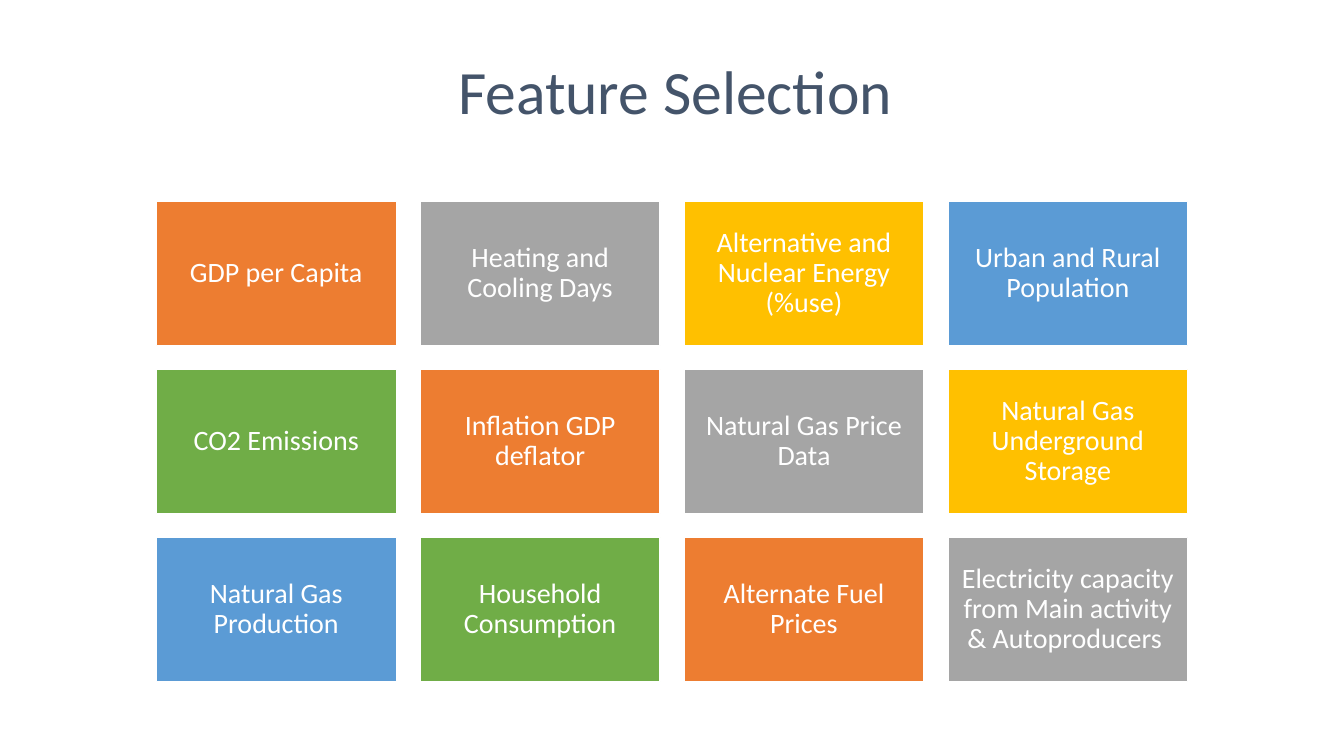
import pptx
import pptx.util
import pptx.dml.color
import pptx.enum.shapes
import pptx.enum.text

Inches = pptx.util.Inches

TITLE = " Feature Selection"
FEATURES = [
    "GDP per Capita",
    "Heating and Cooling Days",
    "Alternative and Nuclear Energy (%use)",
    "Urban and Rural Population",
    "CO2 Emissions",
    "Inflation GDP deflator",
    "Natural Gas Price Data",
    "Natural Gas Underground Storage",
    "Natural Gas Production",
    "Household Consumption",
    "Alternate Fuel Prices",
    "Electricity capacity from Main activity & Autoproducers ",
]
COLORS = {
    "title": "44546A",
    "white": "FFFFFF",
    "orange": "ED7D31",
    "gray": "A5A5A5",
    "gold": "FFC000",
    "blue": "5B9BD5",
    "green": "70AD47",
}
TILE_CYCLE = ["orange", "gray", "gold", "blue", "green"]
FONT = "Calibri"

COLUMNS = 4
GRID_LEFT, GRID_TOP = 1.55, 2.0
TILE_WIDTH, TILE_HEIGHT = 2.38, 1.43
COLUMN_STEP, ROW_STEP = 2.617, 1.665
TILE_INSET = 0.08


def rgb(name):
    return pptx.dml.color.RGBColor.from_string(COLORS[name])


def write_centered(frame, text, size, color):
    frame.word_wrap = True
    frame.text = text
    paragraph = frame.paragraphs[0]
    paragraph.alignment = pptx.enum.text.PP_ALIGN.CENTER
    paragraph.line_spacing = 0.9
    font = paragraph.runs[0].font
    font.name = FONT
    font.size = pptx.util.Pt(size)
    font.color.rgb = rgb(color)


def add_title(slide):
    title = slide.shapes.add_textbox(
        Inches(0.56), Inches(0.56), Inches(12.14), Inches(1.2))
    title.text_frame.vertical_anchor = pptx.enum.text.MSO_ANCHOR.TOP
    write_centered(title.text_frame, TITLE, 44, "title")


def add_tile(slide, index, feature):
    row, column = divmod(index, COLUMNS)
    tile = slide.shapes.add_shape(
        pptx.enum.shapes.MSO_SHAPE.RECTANGLE,
        Inches(GRID_LEFT + column * COLUMN_STEP),
        Inches(GRID_TOP + row * ROW_STEP),
        Inches(TILE_WIDTH), Inches(TILE_HEIGHT))
    tile.shadow.inherit = False
    tile.fill.solid()
    tile.fill.fore_color.rgb = rgb(TILE_CYCLE[index % len(TILE_CYCLE)])
    tile.line.color.rgb = rgb("white")
    tile.line.width = pptx.util.Pt(1)

    frame = tile.text_frame
    frame.margin_left = frame.margin_right = Inches(TILE_INSET)
    frame.margin_top = frame.margin_bottom = Inches(TILE_INSET)
    frame.vertical_anchor = pptx.enum.text.MSO_ANCHOR.MIDDLE
    write_centered(frame, feature, 20, "white")


def main():
    deck = pptx.Presentation()
    deck.slide_width, deck.slide_height = Inches(13.33), Inches(7.5)
    slide = deck.slides.add_slide(deck.slide_layouts[6])
    add_title(slide)
    for index, feature in enumerate(FEATURES):
        add_tile(slide, index, feature)
    deck.save("out.pptx")


if __name__ == "__main__":
    main()
